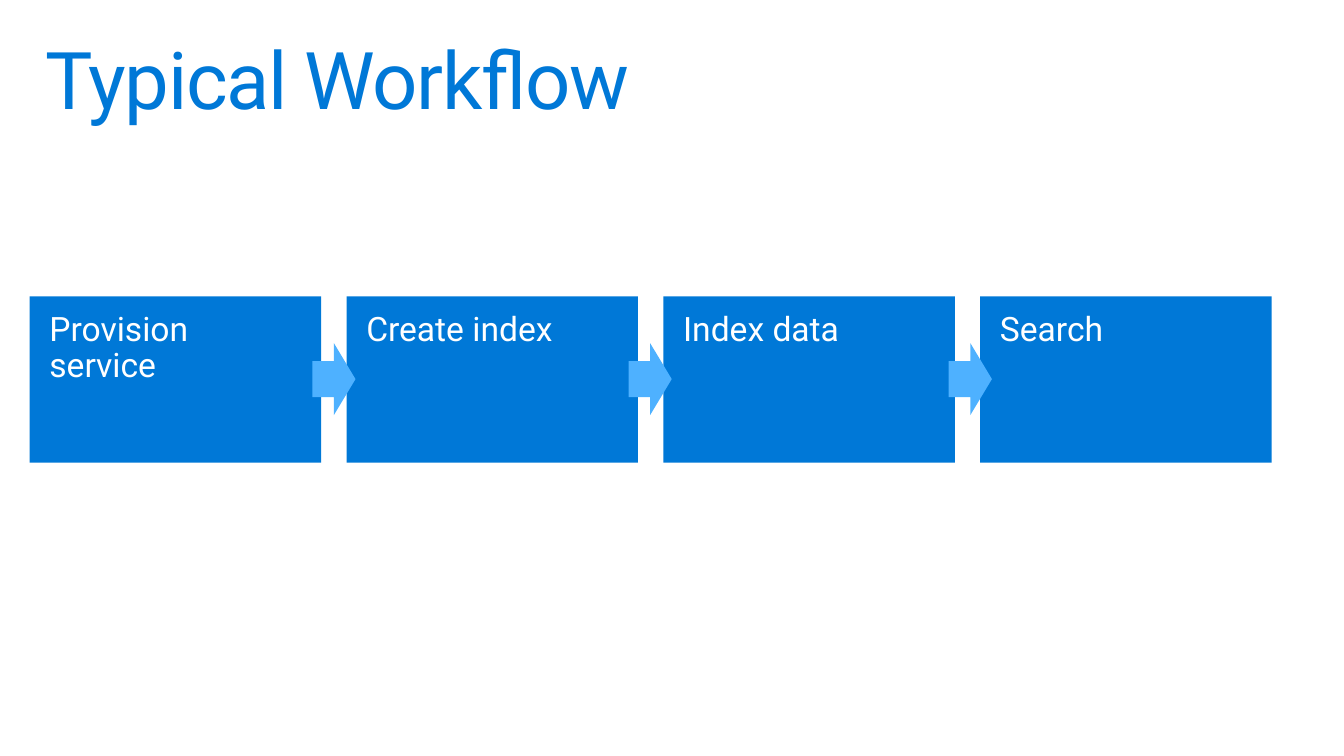
from pptx import Presentation
from pptx.dml.color import RGBColor
from pptx.enum.shapes import MSO_SHAPE
from pptx.enum.text import MSO_ANCHOR, MSO_AUTO_SIZE, PP_ALIGN
from pptx.util import Pt

BLUE = RGBColor(0x00, 0x78, 0xD7)
SKY = RGBColor(0x4E, 0xB1, 0xFF)
WHITE = RGBColor(0xFF, 0xFF, 0xFF)

STEPS = ["Provision service", "Create index", "Index data", "Search"]
LEFT, TOP, WIDTH, HEIGHT = 21.6, 216, 212.4, 121
PITCH = 230.85
ARROWS = [227.5, 457.9, 691.2]


class Deck:
    """Holds the text style and the current slide."""

    font = "Roboto"
    frame = {
        "word_wrap": True,
        "auto_size": MSO_AUTO_SIZE.NONE,
        "vertical_anchor": MSO_ANCHOR.TOP,
    }

    def __init__(self, width, height):
        self.show = Presentation()
        self.show.slide_width = Pt(width)
        self.show.slide_height = Pt(height)
        self.slide = self.show.slides.add_slide(self.show.slide_layouts[5])

    def label(self, shape, text, size, color, inset, spacing):
        frame = shape.text_frame
        side, edge = inset
        form = self.frame | {
            "margin_left": Pt(side), "margin_right": Pt(side),
            "margin_top": Pt(edge), "margin_bottom": Pt(edge),
        }
        for name, value in form.items():
            setattr(frame, name, value)
        para = frame.paragraphs[0]
        para.alignment = PP_ALIGN.LEFT
        para.line_spacing = spacing
        run = para.add_run()
        run.text = text
        for name, value in {"name": self.font, "size": Pt(size)}.items():
            setattr(run.font, name, value)
        run.font.color.rgb = color
        return run

    def title(self, text, left, top, width, height):
        shape = self.slide.shapes.title
        place = {"left": left, "top": top, "width": width, "height": height}
        for name, value in place.items():
            setattr(shape, name, Pt(value))
        run = self.label(shape, text, 58, BLUE, (11.5, 7.2), Pt(63))
        # Tighten the letters by one point
        run._r.get_or_add_rPr().set("spc", "-100")

    def block(self, kind, fill, left, top, width, height):
        shape = self.slide.shapes.add_shape(
            kind, Pt(left), Pt(top), Pt(width), Pt(height))
        shape.shadow.inherit = False
        shape.fill.solid()
        shape.fill.fore_color.rgb = fill
        shape.line.fill.background()
        return shape

    def step(self, text, left):
        box = self.block(MSO_SHAPE.RECTANGLE, BLUE, left, TOP, WIDTH, HEIGHT)
        self.label(box, text, 24.5, WHITE, (14.4, 11.5), 0.9)

    def arrow(self, left):
        self.block(MSO_SHAPE.RIGHT_ARROW, SKY, left, 250, 31.5, 52.5)


def main():
    deck = Deck(979.2, 550.8)

    # Title
    deck.title("Typical Workflow", LEFT, 21, 720, 86.4)

    # Steps in a row
    for index, text in enumerate(STEPS):
        deck.step(text, LEFT + index * PITCH)

    # Arrows over the gaps
    for left in ARROWS:
        deck.arrow(left)

    deck.show.save("out.pptx")


if __name__ == "__main__":
    main()
